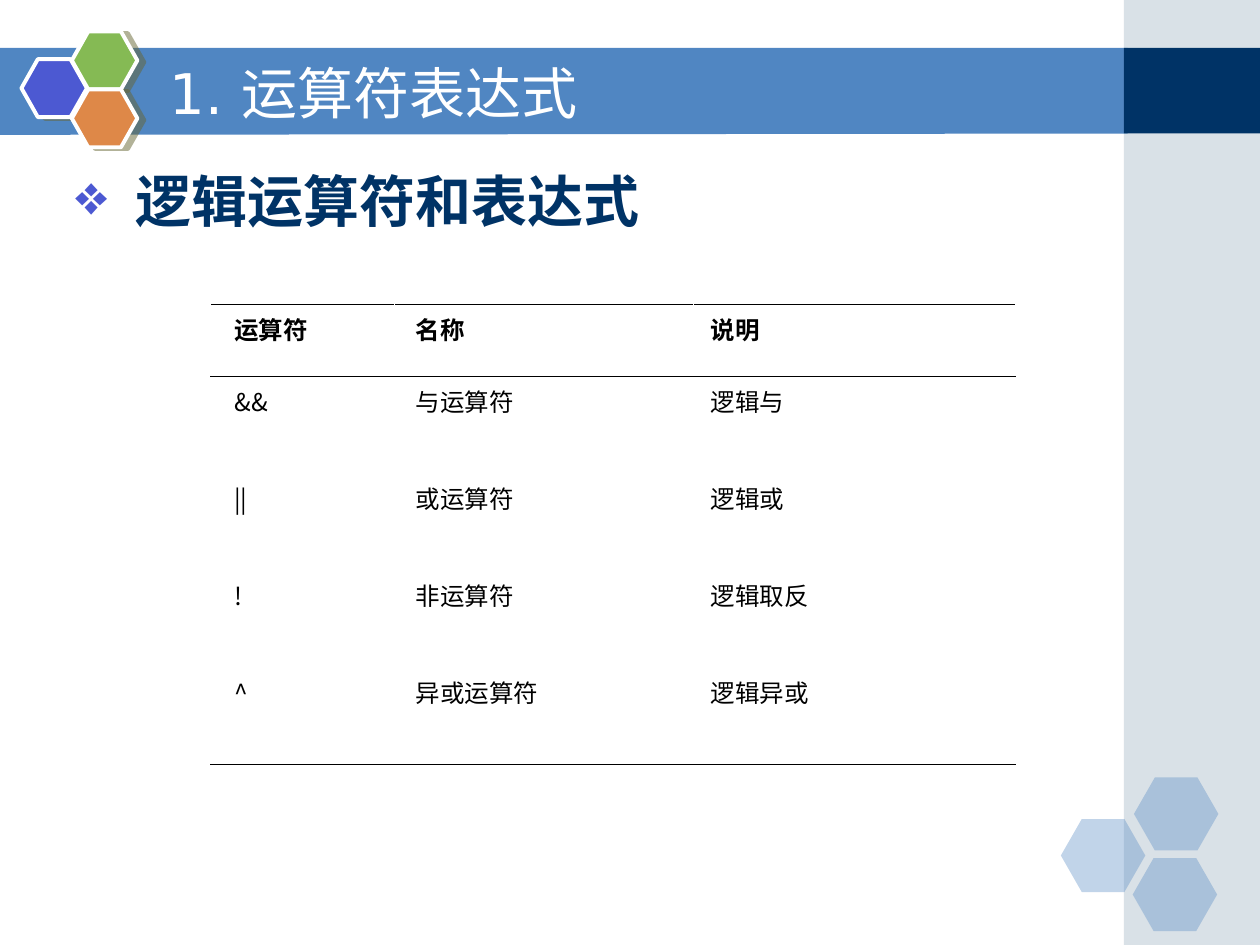
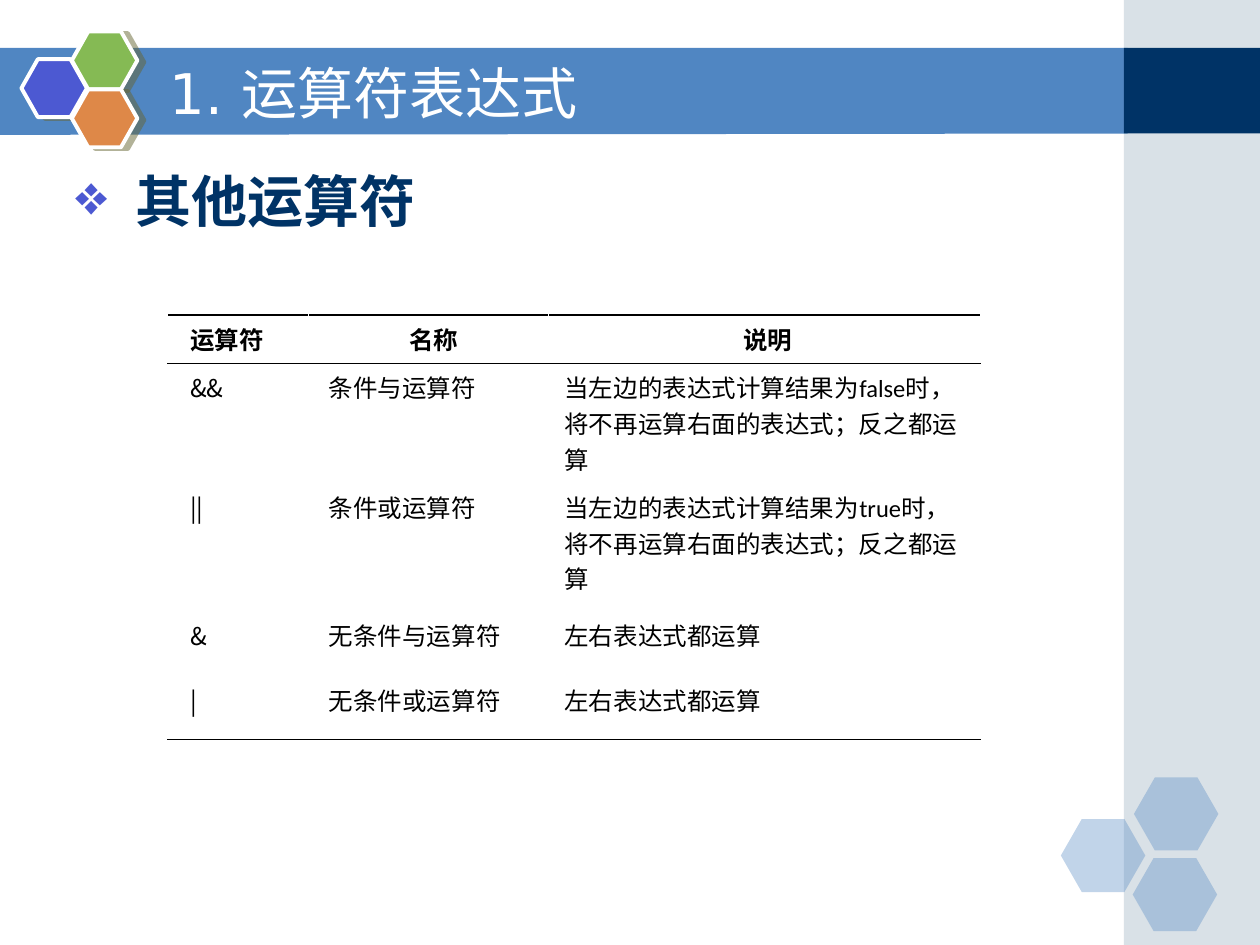
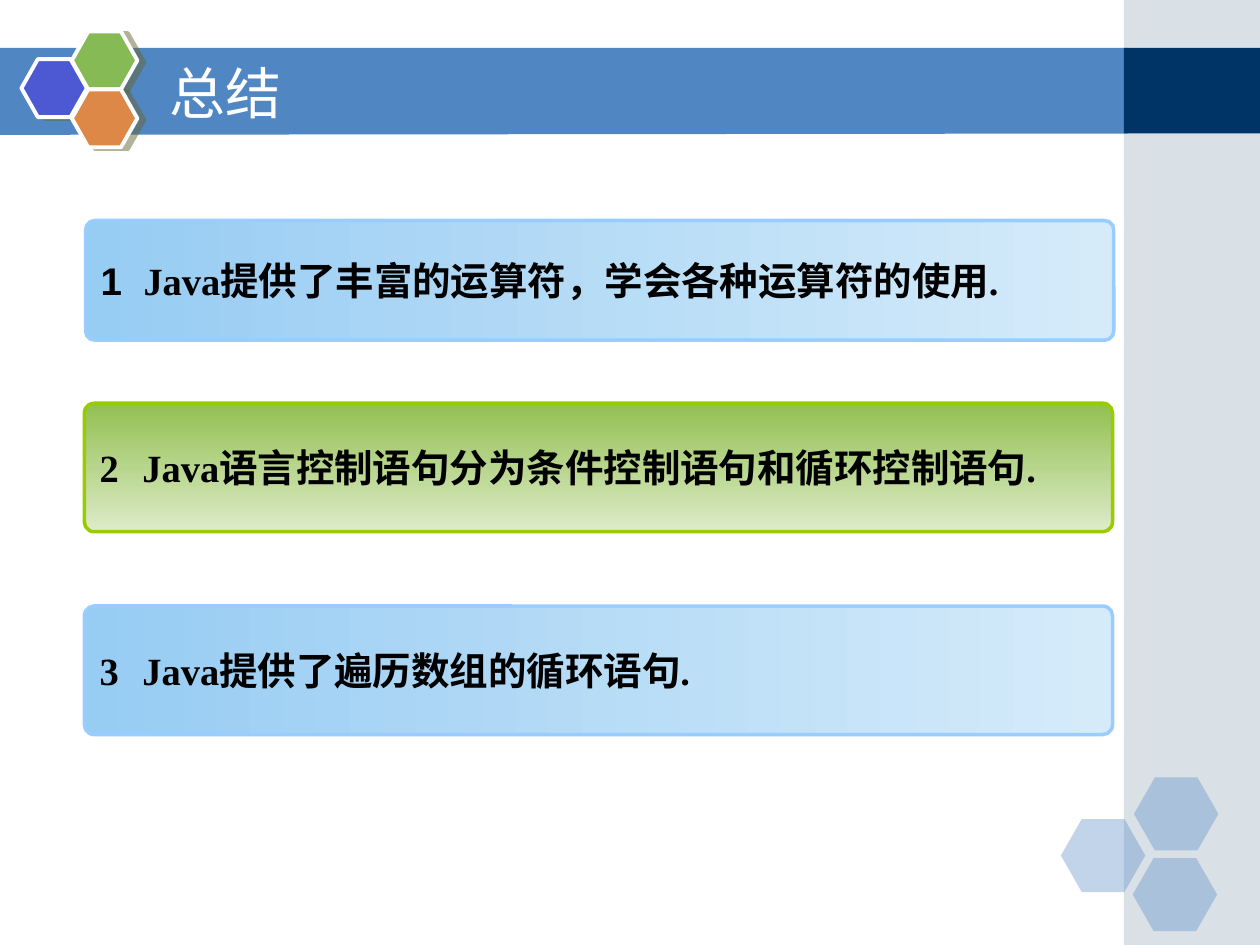
from lxml.etree import SubElement
from pptx import Presentation
from pptx.dml.color import RGBColor
from pptx.enum.shapes import MSO_SHAPE as SHAPE
from pptx.enum.text import MSO_ANCHOR as ANCHOR, PP_ALIGN as ALIGN
from pptx.oxml.ns import qn
from pptx.util import Emu, Inches, Pt

COLOURS = {
    "band": "5086C2", "side": "A0B5C4", "navy": "003366", "white": "FFFFFF",
    "black": "000000", "violet": "4C59D2", "leaf": "85BA54", "orange": "DE8848",
    "shade": "666633", "sky": "97CCF3", "pale_sky": "D5EBFA", "sky_edge": "99CCFF",
    "grass": "93C052", "pale_grass": "DDEBC8", "grass_edge": "99CC00",
}
CJK_FONT = "Noto Sans CJK SC"
COLUMNS, ROWS = 100, 75
WIDTH, HEIGHT = Inches(10), Inches(7.5)


def rgb(colour):
    return RGBColor.from_string(COLOURS[colour])


def across(columns):
    return Emu(round(WIDTH * columns / COLUMNS))


def down(rows):
    return Emu(round(HEIGHT * rows / ROWS))


def add_xml(parent, tag, **attributes):
    return SubElement(parent, qn(tag), {key: str(value) for key, value in attributes.items()})


def add_colour(parent, colour, alpha=None):
    node = add_xml(parent, "a:srgbClr", val=COLOURS[colour])
    if alpha is not None:
        add_xml(node, "a:alpha", val=alpha * 1000)


def write(frame, text, font="Calibri", size=14, colour="black", bold=False,
          align=ALIGN.LEFT, bullet=None, indent=0, tab=None, spacing=None):
    """Fill a frame with one paragraph; text is a string or (text, font) pairs."""
    paragraph = frame.paragraphs[0]
    paragraph.alignment = align
    properties = paragraph._p.get_or_add_pPr()
    if bullet:
        properties.set("marL", str(across(indent)))
        properties.set("indent", str(-across(indent)))
        add_colour(add_xml(properties, "a:buClr"), "violet")
        add_xml(properties, "a:buChar", char=bullet)
    if tab:
        add_xml(add_xml(properties, "a:tabLst"), "a:tab", pos=across(tab), algn="l")
    if spacing:
        paragraph.line_spacing = spacing
    pieces = [(text, font)] if isinstance(text, str) else text
    for piece, face in pieces:
        run = paragraph.add_run()
        run.text = piece
        run.font.name = face
        run.font.size = Pt(size)
        run.font.bold = bold
        run.font.color.rgb = rgb(colour)
        add_xml(run._r.rPr, "a:ea", typeface=CJK_FONT)


class Deck:
    def __init__(self):
        self.presentation = Presentation()
        self.presentation.slide_width = WIDTH
        self.presentation.slide_height = HEIGHT
        self.slide = None

    def start_slide(self, title):
        self.slide = self.presentation.slides.add_slide(self.presentation.slide_layouts[6])
        self.title_band()
        self.shape(SHAPE.RECTANGLE, 89.2, 0, 10.8, ROWS, "side", alpha=40)
        self.shape(SHAPE.RECTANGLE, 89.2, 3.8, 10.8, 6.8, "navy")
        for column, row in ((84.2, 65), (90, 61.7), (89.9, 68.1)):
            self.shape(SHAPE.HEXAGON, column, row, 6.7, 5.8, "band", alpha=35, adjust=0.286)
        for column, row, colour in ((1.7, 4.7, "violet"), (5.7, 2.5, "leaf"), (5.7, 7.1, "orange")):
            cell = self.shape(SHAPE.HEXAGON, column, row, 5.2, 4.6, colour,
                              edge="white", edge_width=2.25, adjust=0.283)
            self.cast_shadow(cell)
        self.text(12.5, 4.2, 73.3, 6.2, title, anchor=ANCHOR.MIDDLE,
                  font="DejaVu Sans", size=32, colour="white")

    def title_band(self):
        outline = self.slide.shapes.build_freeform(0, down(3.8))
        outline.add_line_segments([(across(89.5), down(3.8)), (across(89.5), down(10.6)),
                                   (0, down(10.7))])
        self.paint(outline.convert_to_shape(), "band")

    def paint(self, shape, fill, alpha=None, edge=None, edge_width=1):
        shape.shadow.inherit = False
        shape.fill.solid()
        shape.fill.fore_color.rgb = rgb(fill)
        if alpha is not None:
            colour = shape._element.spPr.find(qn("a:solidFill"))[0]
            add_xml(colour, "a:alpha", val=alpha * 1000)
        if edge:
            shape.line.color.rgb = rgb(edge)
            shape.line.width = Pt(edge_width)
        else:
            shape.line.fill.background()

    def shape(self, kind, column, row, columns, rows, fill, adjust=None, **style):
        shape = self.slide.shapes.add_shape(kind, across(column), down(row),
                                            across(columns), down(rows))
        if adjust is not None:
            shape.adjustments[0] = adjust
        self.paint(shape, fill, **style)
        return shape

    def cast_shadow(self, shape):
        effects = shape._element.spPr.find(qn("a:effectLst"))
        shadow = add_xml(effects, "a:outerShdw", dist=Pt(4.1), dir=14 * 60000,
                         algn="ctr", rotWithShape=0)
        add_colour(shadow, "shade", alpha=50)

    def text(self, column, row, columns, rows, text, anchor=ANCHOR.TOP, **style):
        frame = self.slide.shapes.add_textbox(across(column), down(row), across(columns),
                                              down(rows)).text_frame
        frame.word_wrap = True
        frame.vertical_anchor = anchor
        write(frame, text, **style)

    def heading(self, text):
        self.text(5, 13.3, 90, 55.8, text, font=CJK_FONT, size=32, colour="navy", bold=True,
                  bullet="❖", indent=4.8, spacing=0.9)

    def panel(self, column, row, rows, text, start, end, edge, angle):
        panel = self.shape(SHAPE.ROUNDED_RECTANGLE, column, row, 81.6, rows, start,
                           edge=edge, edge_width=2, adjust=0.076)
        panel.fill.gradient()
        panel.fill.gradient_angle = angle
        for stop, colour in zip(panel.fill.gradient_stops, (start, end)):
            stop.color.rgb = rgb(colour)
        panel.text_frame.word_wrap = True
        panel.text_frame.vertical_anchor = ANCHOR.MIDDLE
        write(panel.text_frame, text, font="Times New Roman", size=22, bold=True, tab=3.4)

    def border(self, cell, **sides):
        """Draw cell edges given as L, R, T or B = (colour, points)."""
        properties = cell._tc.get_or_add_tcPr()
        for side, (colour, points) in sides.items():
            line = add_xml(properties, f"a:ln{side}", w=Pt(points))
            add_colour(add_xml(line, "a:solidFill"), colour)

    def table(self, column, row, widths, heights, records, inset, header_aligns):
        table = self.slide.shapes.add_table(len(heights), len(widths), across(column), down(row),
                                            across(sum(widths)), down(sum(heights))).table
        table.first_row = table.horz_banding = False
        for grid_column, width in zip(table.columns, widths):
            grid_column.width = across(width)
        for grid_row, height in zip(table.rows, heights):
            grid_row.height = down(height)
        thick, thin, gap = ("black", 0.75), ("black", 0.45), ("white", 0.45)
        last = len(records) - 1
        for r, record in enumerate(records):
            edges = {"L": gap, "R": gap}
            if r < 2:
                edges["T"] = thin if r else thick
            if r in (0, last):
                edges["B"] = thick if r else thin
            for c, (text, indent) in enumerate(zip(record, (1.1, 0.9, 0.6))):
                cell = table.cell(r, c)
                cell.margin_left = across(inset + indent)
                cell.margin_right = across(inset)
                cell.margin_top = cell.margin_bottom = down(0.5)
                self.border(cell, **edges)
                cell.fill.background()
                write(cell.text_frame, text, bold=r == 0,
                      font=CJK_FONT if r and c == 0 else "Calibri",
                      align=ALIGN.LEFT if r else header_aligns[c])


def main():
    deck = Deck()
    topic = "1. 运算符表达式"
    header = ("运算符", "名称", "说明")

    deck.start_slide(topic)
    deck.heading("逻辑运算符和表达式")
    deck.table(16.7, 24.2, (14.6, 23.7, 25.6), (5.7,) + (7.7,) * 4, (
        header,
        ("&&", "与运算符", "逻辑与"),
        ("||", "或运算符", "逻辑或"),
        ("!", "非运算符", "逻辑取反"),
        ("^", "异或运算符", "逻辑异或"),
    ), inset=0.8, header_aligns=(ALIGN.LEFT,) * 3)

    deck.start_slide(topic)
    deck.heading("其他运算符")
    short_circuit = "当左边的表达式计算结果为{}时，将不再运算右面的表达式；反之都运算"
    always = "左右表达式都运算"
    deck.table(13.3, 25, (11.2, 19, 34.3), (3.8, 9.5, 10.2, 5.1, 5.1), (
        header,
        ("&&", "条件与运算符", short_circuit.format("false")),
        ("||", "条件或运算符", short_circuit.format("true")),
        ("&", "无条件与运算符", always),
        ("|", "无条件或运算符", always),
    ), inset=0.7, header_aligns=(ALIGN.LEFT, ALIGN.CENTER, ALIGN.CENTER))

    deck.start_slide("总结")
    blue = {"start": "sky", "end": "pale_sky", "edge": "sky_edge", "angle": 0}
    green = {"start": "grass", "end": "pale_grass", "edge": "grass_edge", "angle": 270}
    deck.panel(6.8, 17.5, 9.5, (("1\t", "Arial"),
               ("Java提供了丰富的运算符，学会各种运算符的使用.", "Times New Roman")), **blue)
    deck.panel(6.7, 32, 10.2, "2\tJava语言控制语句分为条件控制语句和循环控制语句.", **green)
    deck.panel(6.7, 48.1, 10.2, "3\tJava提供了遍历数组的循环语句.", **blue)

    deck.presentation.save("out.pptx")


if __name__ == "__main__":
    main()
